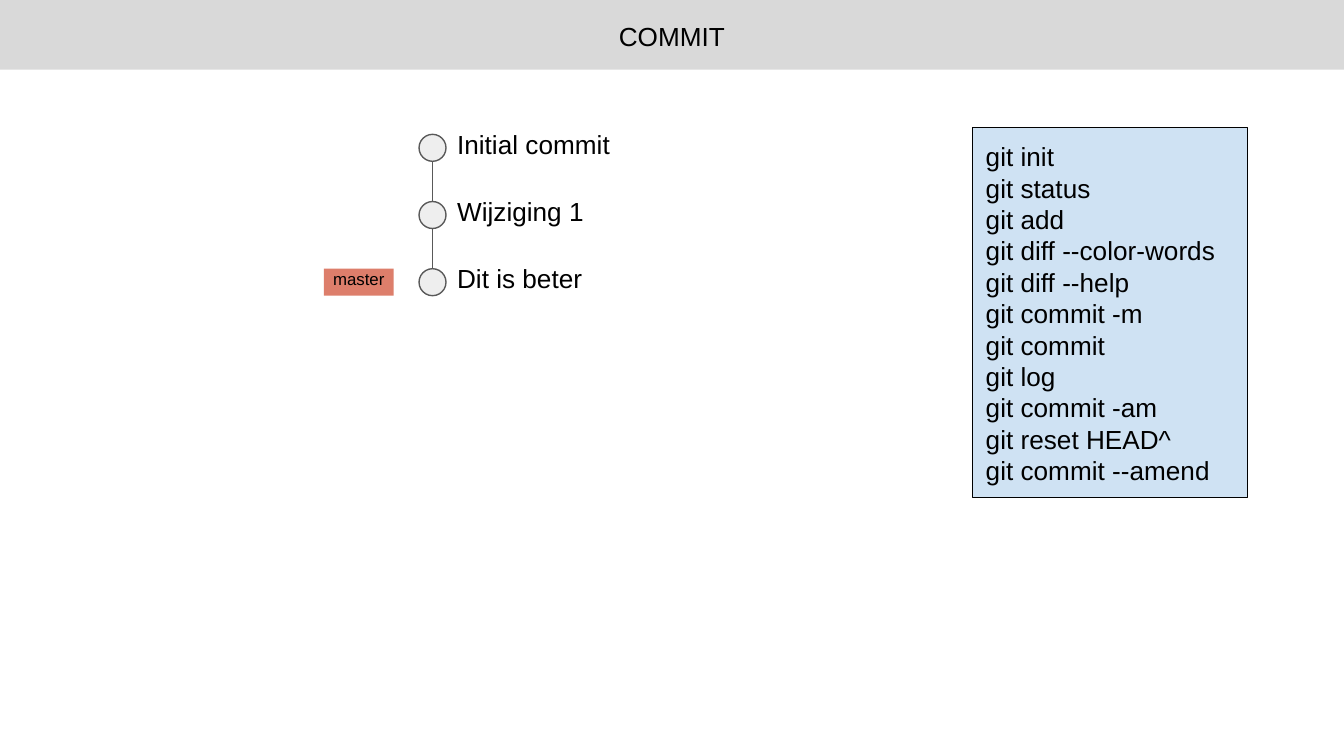
import pptx
import pptx.util
import pptx.dml.color
import pptx.enum.shapes
import pptx.enum.text
import pptx.oxml.ns
import lxml.etree

Cm = pptx.util.Cm
Pt = pptx.util.Pt
RGBColor = pptx.dml.color.RGBColor
SHAPE = pptx.enum.shapes.MSO_SHAPE
ALIGN = pptx.enum.text.PP_ALIGN

# Content
TITLE = "COMMIT"
BRANCH = "master"
COMMITS = ["Initial commit", "Wijziging 1", "Dit is beter"]
COMMANDS = [
    "git init", "git status", "git add", "git diff --color-words",
    "git diff --help", "git commit -m", "git commit", "git log",
    "git commit -am", "git reset HEAD^", "git commit --amend",
]

# Colours
BLACK = RGBColor(0x00, 0x00, 0x00)
BAND_GREY = RGBColor(0xD9, 0xD9, 0xD9)
NODE_GREY = RGBColor(0xEE, 0xEE, 0xEE)
LINE_GREY = RGBColor(0x59, 0x59, 0x59)
BRANCH_RED = RGBColor(0xDD, 0x7E, 0x6B)
PANEL_BLUE = RGBColor(0xCF, 0xE2, 0xF3)

# Layout, in centimetres
PAGE_WIDTH, PAGE_HEIGHT = 25.4, 14.29
NODE_LEFT, NODE_TOP, NODE_SIZE, NODE_STEP = 7.92, 2.54, 0.51, 1.27
LABEL_LEFT, LABEL_RISE = 8.64, 0.12
LINE_WIDTH = Pt(0.75)


def write(shape, text, size=14, align=ALIGN.LEFT, insets=(0, 0, 0, 0)):
    """Fill a shape with text, one paragraph per line."""
    frame = shape.text_frame
    frame.word_wrap = True
    frame.vertical_anchor = pptx.enum.text.MSO_ANCHOR.TOP
    (frame.margin_left, frame.margin_top,
     frame.margin_right, frame.margin_bottom) = map(Cm, insets)
    frame.text = text
    for para in frame.paragraphs:
        para.alignment = align
        for span in para.runs:
            span.font.name = "Arial"
            span.font.size = Pt(size)
            span.font.color.rgb = BLACK


def add_block(kind, left, top, width, height, fill, line=None):
    block = page.shapes.add_shape(kind, Cm(left), Cm(top), Cm(width), Cm(height))
    block.shadow.inherit = False
    block.fill.solid()
    block.fill.fore_color.rgb = fill
    if line is None:
        block.line.fill.background()
    else:
        block.line.color.rgb = line
        block.line.width = LINE_WIDTH
    return block


def add_link(x, top, bottom):
    link = page.shapes.add_connector(
        pptx.enum.shapes.MSO_CONNECTOR.STRAIGHT, Cm(x), Cm(top), Cm(x), Cm(bottom))
    link.line.color.rgb = LINE_GREY
    link.line.width = LINE_WIDTH
    lxml.etree.SubElement(link._element.spPr, pptx.oxml.ns.qn("a:effectLst"))


deck = pptx.Presentation()
deck.slide_width, deck.slide_height = Cm(PAGE_WIDTH), Cm(PAGE_HEIGHT)
page = deck.slides.add_slide(deck.slide_layouts[6])

# Title band
band = add_block(SHAPE.RECTANGLE, 0, 0, PAGE_WIDTH, 1.32, BAND_GREY)
write(band, TITLE, align=ALIGN.CENTER, insets=(0.25, 0.38, 0.25, 0.25))

# Commit history: node, label and link to the next node
for index, message in enumerate(COMMITS):
    top = NODE_TOP + index * NODE_STEP
    add_block(SHAPE.OVAL, NODE_LEFT, top, NODE_SIZE, NODE_SIZE, NODE_GREY, LINE_GREY)
    label = page.shapes.add_textbox(
        Cm(LABEL_LEFT), Cm(top - LABEL_RISE), Cm(3.05), Cm(0.76))
    write(label, message)
    if index < len(COMMITS) - 1:
        add_link(NODE_LEFT + NODE_SIZE / 2, top + NODE_SIZE, top + NODE_STEP)

# Branch tag beside the latest commit
latest_top = NODE_TOP + (len(COMMITS) - 1) * NODE_STEP
tag = add_block(SHAPE.RECTANGLE, 6.12, latest_top, 1.32, NODE_SIZE, BRANCH_RED)
write(tag, BRANCH, size=9, align=ALIGN.CENTER)

# Command panel
panel = add_block(SHAPE.RECTANGLE, 18.38, 2.41, 5.2, 6.99, PANEL_BLUE, BLACK)
write(panel, "\n".join(COMMANDS), insets=(0.25, 0.25, 0.25, 0.25))

deck.save("out.pptx")
